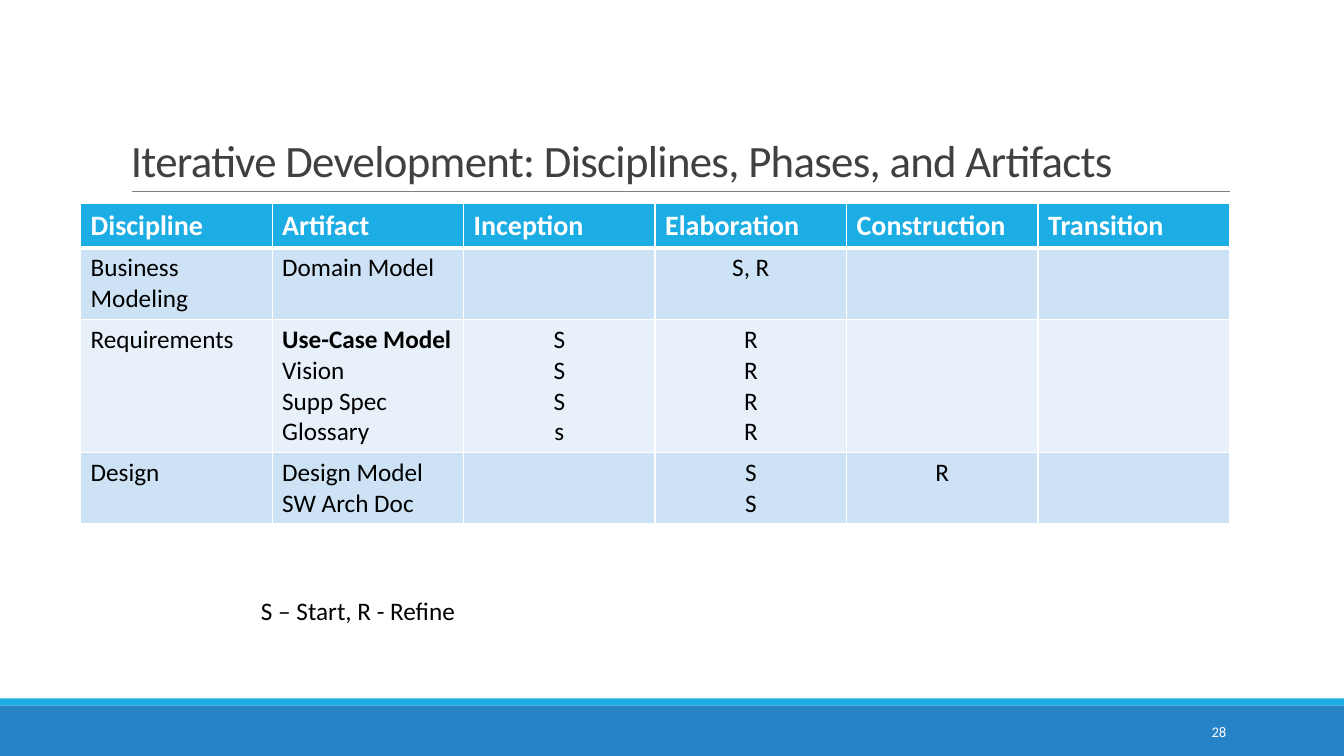
import dataclasses

import lxml.etree
import pptx
import pptx.dml.color
import pptx.enum.shapes
import pptx.enum.text
import pptx.oxml.ns
import pptx.util

ALIGN = pptx.enum.text.PP_ALIGN
ANCHOR = pptx.enum.text.MSO_ANCHOR
qn = pptx.oxml.ns.qn


@dataclasses.dataclass(frozen=True)
class Theme:
    font: str = "Calibri"
    accent: str = "1CADE4"
    footer: str = "2683C6"
    rule: str = "808080"
    title: str = "404040"
    ink: str = "000000"
    white: str = "FFFFFF"
    bands: tuple = ("CDE3F5", "E8F1FA")
    title_size: float = 32
    header_size: float = 20
    body_size: float = 18
    number_size: float = 10.5


@dataclasses.dataclass(frozen=True)
class Box:
    left: int
    top: int
    width: int
    height: int

    def share(self, left, top, width, height):
        return Box(
            self.left + round(self.width * left / 100),
            self.top + round(self.height * top / 100),
            round(self.width * width / 100),
            round(self.height * height / 100),
        )

    def bounds(self):
        return self.left, self.top, self.width, self.height


THEME = Theme()
HEADERS = ["Discipline", "Artifact", "Inception", "Elaboration", "Construction", "Transition"]
DISCIPLINES = [
    [["Business Modeling"], ["Domain Model"], [], ["S, R"], [], []],
    [["Requirements"], ["Use-Case Model", "Vision", "Supp Spec", "Glossary"],
     ["S", "S", "S", "s"], ["R"] * 4, [], []],
    [["Design"], ["Design Model", "SW Arch Doc"], [], ["S", "S"], ["R"], []],
]
KEY_ARTIFACT = "Use-Case Model"
ROW_WEIGHTS = [0.44, 0.71, 1.32, 0.71]


def rgb(value):
    return pptx.dml.color.RGBColor.from_string(value)


def write(frame, lines, size, color, align=ALIGN.LEFT, bold=()):
    for index, line in enumerate(lines):
        para = frame.add_paragraph() if index else frame.paragraphs[0]
        para.alignment = align
        span = para.add_run()
        span.text = line
        span.font.name = THEME.font
        span.font.size = pptx.util.Pt(size)
        span.font.color.rgb = rgb(color)
        span.font.bold = line in bold


def add_text(page, box, line, size, color, align=ALIGN.LEFT, anchor=ANCHOR.TOP, wrap=True):
    frame = page.shapes.add_textbox(*box.bounds()).text_frame
    frame.word_wrap = wrap
    frame.vertical_anchor = anchor
    write(frame, [line], size, color, align)
    return frame


def add_band(page, box, color):
    band = page.shapes.add_shape(pptx.enum.shapes.MSO_SHAPE.RECTANGLE, *box.bounds())
    band.shadow.inherit = False
    band.fill.solid()
    band.fill.fore_color.rgb = rgb(color)
    band.line.fill.background()


def add_footer(page, box):
    add_band(page, box.share(0, 12, 100, 88), THEME.footer)
    add_band(page, box.share(0, 0, 100, 12), THEME.accent)
    add_text(page, box.share(81.25, 23, 10.73, 70), "28", THEME.number_size,
             THEME.white, ALIGN.RIGHT, ANCHOR.MIDDLE)


def add_title(page, box):
    frame = add_text(page, box, "Iterative Development: Disciplines, Phases, and Artifacts",
                     THEME.title_size, THEME.title, anchor=ANCHOR.BOTTOM)
    para = frame.paragraphs[0]
    para.line_spacing = 0.85
    para.runs[0]._r.get_or_add_rPr().set("spc", "-50")
    line = box.share(1, 100, 99, 0)
    rule = page.shapes.add_connector(
        pptx.enum.shapes.MSO_CONNECTOR.STRAIGHT,
        line.left, line.top, line.left + line.width, line.top)
    rule.line.color.rgb = rgb(THEME.rule)
    rule.line.width = pptx.util.Pt(0.5)
    lxml.etree.SubElement(rule._element.spPr, qn("a:effectLst"))


def style_cell(cell, color, widths):
    properties = cell._tc.get_or_add_tcPr()
    for side, width in widths.items():
        border = lxml.etree.SubElement(properties, qn("a:ln" + side), w=str(pptx.util.Pt(width)))
        fill = lxml.etree.SubElement(border, qn("a:solidFill"))
        lxml.etree.SubElement(fill, qn("a:srgbClr"), val=THEME.white)
    cell.fill.solid()
    cell.fill.fore_color.rgb = rgb(color)


def add_artifact_table(page, box):
    rows = [[[name] for name in HEADERS]] + DISCIPLINES
    table = page.shapes.add_table(len(rows), len(HEADERS), *box.bounds()).table
    for column in table.columns:
        column.width = box.width // len(HEADERS)
    for row_index, row in enumerate(rows):
        header = row_index == 0
        table.rows[row_index].height = round(
            box.height * ROW_WEIGHTS[row_index] / sum(ROW_WEIGHTS))
        color = THEME.accent if header else THEME.bands[(row_index - 1) % 2]
        widths = {"L": 1, "R": 1, "T": 3 if row_index == 1 else 1, "B": 3 if header else 1}
        for column_index, lines in enumerate(row):
            cell = table.cell(row_index, column_index)
            style_cell(cell, color, widths)
            if header:
                write(cell.text_frame, lines, THEME.header_size, THEME.white, bold=HEADERS)
            else:
                align = ALIGN.CENTER if column_index > 1 else ALIGN.LEFT
                write(cell.text_frame, lines, THEME.body_size, THEME.ink, align, [KEY_ARTIFACT])


def add_legend(page, box):
    add_text(page, box, "S – Start, R - Refine", THEME.body_size, THEME.ink, wrap=False)


def build_page(page, box):
    add_footer(page, box.share(0, 92.4, 100, 7.6))
    add_title(page, box.share(9, 4.13, 82.5, 21.2))
    add_artifact_table(page, box.share(6, 26.93, 85.5, 42.4))
    add_legend(page, box.share(18.68, 78.13, 16.13, 5.33))


def main():
    deck = pptx.Presentation()
    deck.slide_width = pptx.util.Inches(13.33)
    deck.slide_height = pptx.util.Inches(7.5)
    page = deck.slides.add_slide(deck.slide_layouts[6])
    page.background.fill.solid()
    page.background.fill.fore_color.rgb = rgb(THEME.white)
    build_page(page, Box(0, 0, deck.slide_width, deck.slide_height))
    deck.save("out.pptx")


if __name__ == "__main__":
    main()
